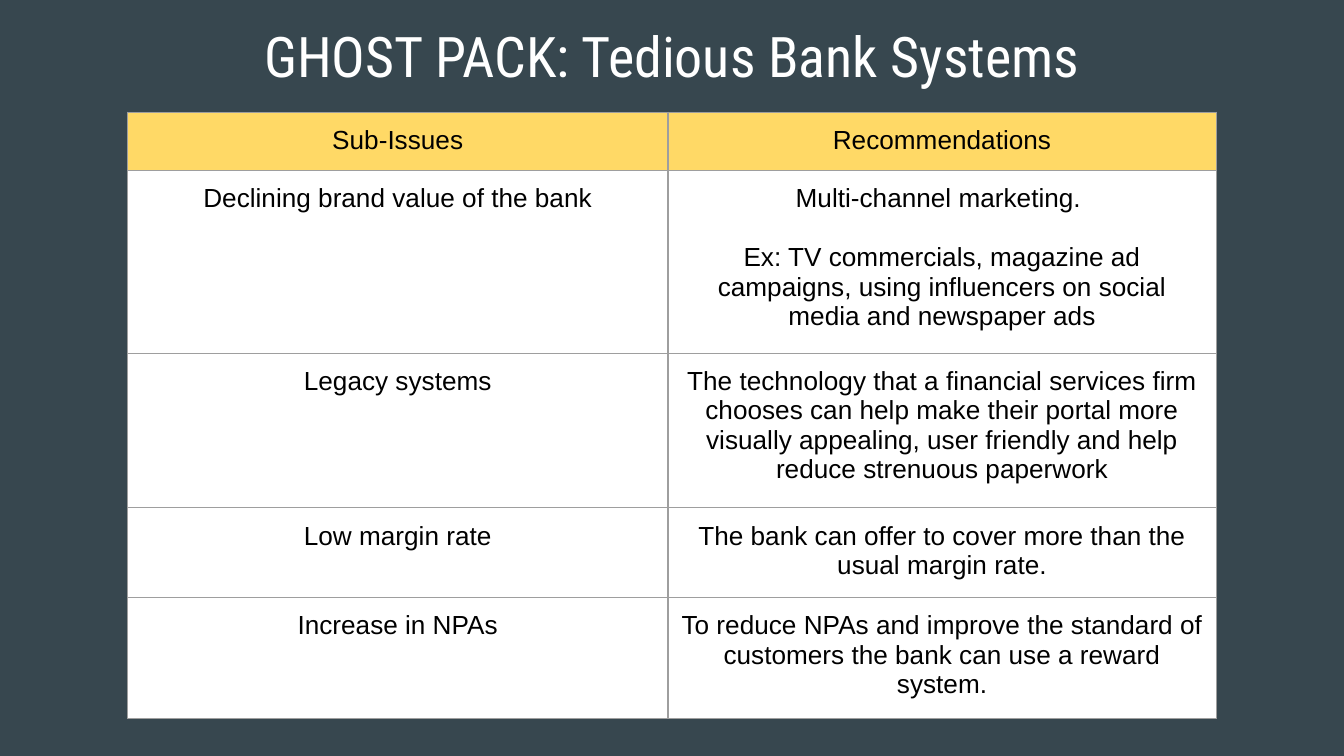
from dataclasses import dataclass

from lxml import etree
from pptx import Presentation
from pptx import util as u
from pptx.dml.color import RGBColor
from pptx.enum import text
from pptx.oxml.ns import qn

PX = 4572  # 200 px to the inch
INSET = 20


@dataclass(frozen=True)
class Theme:
    background: str = "37474F"
    title_color: str = "FFFFFF"
    body_color: str = "000000"
    header_fill: str = "FFD966"
    body_fill: str = "FFFFFF"
    border: str = "9E9E9E"
    title_font: str = "Roboto Condensed"
    body_font: str = "Arial"
    title_size: int = 30
    body_size: int = 14
    paragraph_gap: int = 16
    border_width: float = 0.75


THEME = Theme()
TITLE = "GHOST PACK: Tedious Bank Systems"
COLUMN_WIDTHS = (804, 816)
ROW_HEIGHTS = (86, 272, 230, 132, 180)
ISSUES = (
    ("Sub-Issues", "Recommendations"),
    ("Declining brand value of the bank",
     "Multi-channel marketing. \n"
     "Ex: TV commercials, magazine ad campaigns, using influencers on social "
     "media and newspaper ads"),
    ("Legacy systems",
     "The technology that a financial services firm chooses can help make their "
     "portal more visually appealing, user friendly and help reduce strenuous "
     "paperwork"),
    ("Low margin rate",
     "The bank can offer to cover more than the usual margin rate."),
    ("Increase in NPAs",
     "To reduce NPAs and improve the standard of customers the bank can use a "
     "reward system."),
)


def px(length):
    return u.Emu(length * PX)


def paint(fill, color):
    fill.solid()
    fill.fore_color.rgb = RGBColor.from_string(color)


def write(frame, wording, *, font, size, color, gap=0):
    """Fill a text frame with one centred paragraph per line of wording."""
    frame.word_wrap = True
    for index, line in enumerate(wording.split("\n")):
        paragraph = frame.add_paragraph() if index else frame.paragraphs[0]
        paragraph.alignment = text.PP_ALIGN.CENTER
        if index:
            paragraph.space_before = u.Pt(gap)
        run = paragraph.add_run()
        run.text = line
        run.font.name = font
        run.font.size = u.Pt(size)
        run.font.bold = False
        run.font.color.rgb = RGBColor.from_string(color)


def set_insets(holder):
    holder.margin_left = holder.margin_right = px(INSET)
    holder.margin_top = holder.margin_bottom = px(INSET)


def add_title(slide):
    frame = slide.shapes.add_textbox(px(68), px(12), px(1864), px(126)).text_frame
    set_insets(frame)
    frame.vertical_anchor = text.MSO_ANCHOR.TOP
    write(frame, TITLE, font=THEME.title_font, size=THEME.title_size,
          color=THEME.title_color)


def add_borders(cell):
    """Outline a cell; call before its fill, which must follow in the XML."""
    properties = cell._tc.get_or_add_tcPr()
    for side in ("a:lnL", "a:lnR", "a:lnT", "a:lnB"):
        line = etree.SubElement(properties, qn(side),
                                w=str(u.Pt(THEME.border_width)))
        fill = etree.SubElement(line, qn("a:solidFill"))
        etree.SubElement(fill, qn("a:srgbClr"), val=THEME.border)


def add_issue_table(slide):
    table = slide.shapes.add_table(
        len(ISSUES), len(COLUMN_WIDTHS), px(190), px(167),
        px(sum(COLUMN_WIDTHS)), px(sum(ROW_HEIGHTS))).table
    table.horz_banding = False
    for column, width in zip(table.columns, COLUMN_WIDTHS):
        column.width = px(width)
    for index, (row, height, entries) in enumerate(
            zip(table.rows, ROW_HEIGHTS, ISSUES)):
        row.height = px(height)
        for cell, wording in zip(row.cells, entries):
            set_insets(cell)
            add_borders(cell)
            paint(cell.fill, THEME.body_fill if index else THEME.header_fill)
            write(cell.text_frame, wording, font=THEME.body_font,
                  size=THEME.body_size, color=THEME.body_color,
                  gap=THEME.paragraph_gap)


def main():
    deck = Presentation()
    deck.slide_width, deck.slide_height = px(2000), px(1125)
    slide = deck.slides.add_slide(deck.slide_layouts[6])
    paint(slide.background.fill, THEME.background)
    add_title(slide)
    add_issue_table(slide)
    deck.save("out.pptx")


if __name__ == "__main__":
    main()
